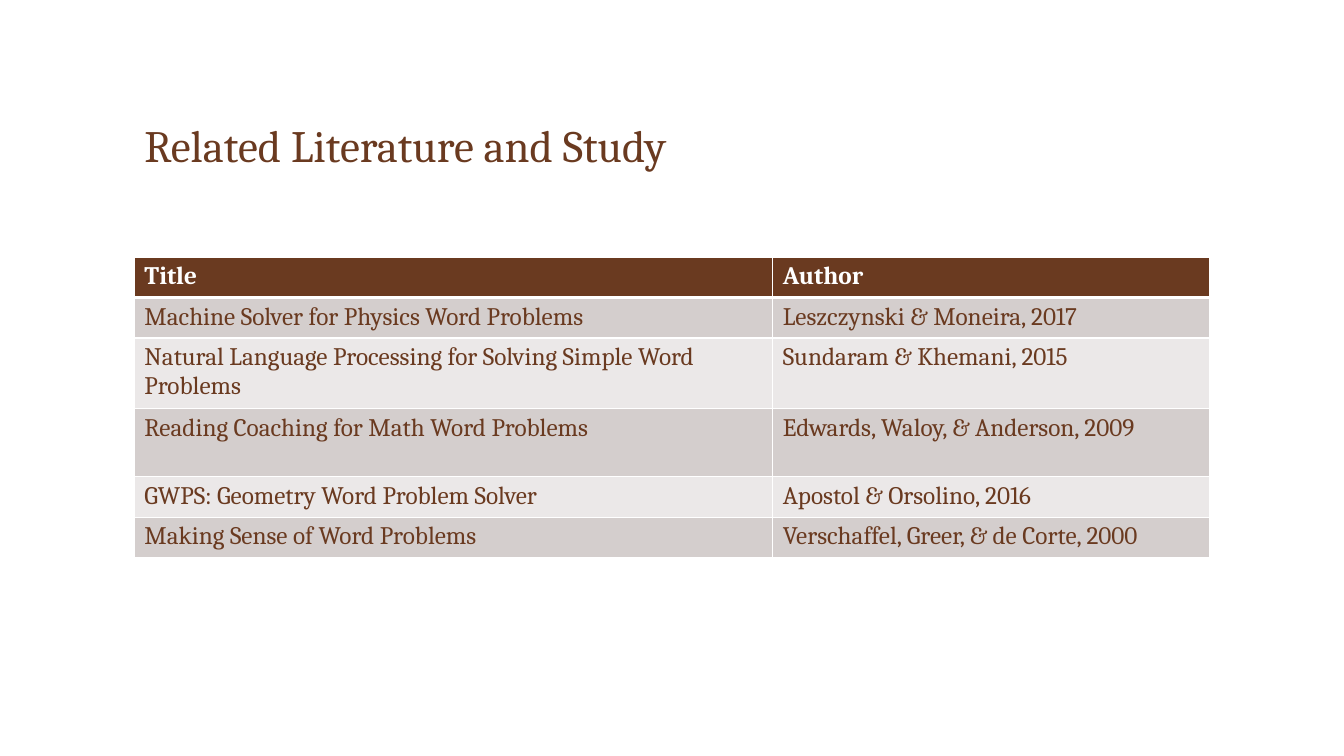
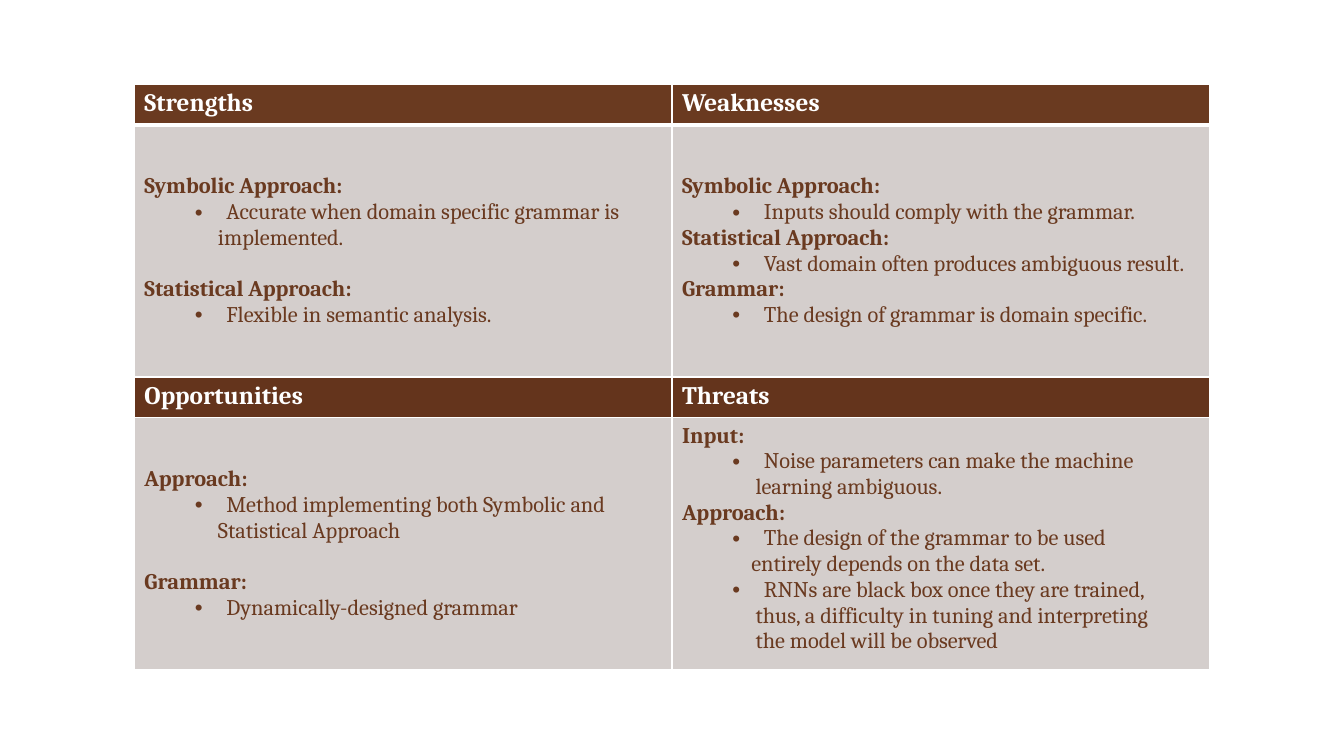
from pptx import Presentation
from pptx.dml.color import RGBColor
from pptx.enum.text import MSO_ANCHOR
from pptx.oxml.ns import qn
from pptx.util import Pt
from lxml.etree import SubElement

PX = 9525
FONT = "Cambria"
COLORS = {
    "brown": "6A3A20",
    "dark": "64341C",
    "band": "D4CECD",
    "panel": "D4CECC",
    "light": "EBE8E8",
    "white": "FFFFFF",
}
LEFT, WIDTH = 128, 1024
INDENTS = {"head": 0, "gap": 0, "bullet": 78, "more": 70, "tight": 66}
HANG = -30


def rgb(name):
    return RGBColor.from_string(COLORS[name])


class Deck:
    def __init__(self, width, height):
        self.prs = Presentation()
        self.prs.slide_width = width * PX
        self.prs.slide_height = height * PX
        self.slide = None

    def new_slide(self):
        self.slide = self.prs.slides.add_slide(self.prs.slide_layouts[6])

    def style(self, p, size, color, bold=False):
        for r in p.runs:
            r.font.name = FONT
            r.font.size = Pt(size)
            r.font.bold = bold
            r.font.color.rgb = rgb(color)

    def title(self, text):
        box = self.slide.shapes.add_textbox(LEFT * PX, 45 * PX, WIDTH * PX, 123 * PX)
        tf = box.text_frame
        tf.word_wrap = True
        tf.vertical_anchor = MSO_ANCHOR.BOTTOM
        tf.text = text
        self.style(tf.paragraphs[0], 32, "brown")

    def table(self, top, cols, rows):
        frame = self.slide.shapes.add_table(
            len(rows), len(cols), LEFT * PX, top * PX, sum(cols) * PX, sum(rows) * PX)
        table = frame.table
        table.first_row = table.horz_banding = False
        for column, width in zip(table.columns, cols):
            column.width = width * PX
        for row, height in zip(table.rows, rows):
            row.height = height * PX
        return table

    def paint(self, cell, row, fill):
        widths = {"L": 1, "R": 1, "T": 3 if row == 1 else 1, "B": 3 if row == 0 else 1}
        tcPr = cell._tc.get_or_add_tcPr()
        for side, width in widths.items():
            ln = SubElement(tcPr, qn(f"a:ln{side}"), w=str(Pt(width)))
            SubElement(SubElement(ln, qn("a:solidFill")), qn("a:srgbClr"), val=COLORS["white"])
        cell.fill.solid()
        cell.fill.fore_color.rgb = rgb(fill)

    def label(self, table, row, col, text, fill, color="brown", bold=False):
        cell = table.cell(row, col)
        cell.text_frame.text = text
        self.style(cell.text_frame.paragraphs[0], 18, color, bold)
        self.paint(cell, row, fill)

    def points(self, table, row, col, lines, anchor):
        cell = table.cell(row, col)
        cell.vertical_anchor = anchor
        tf = cell.text_frame
        tf.text = "\n".join(text for _, text in lines)
        for p, (kind, _) in zip(tf.paragraphs, lines):
            self.style(p, 16, "brown", kind in ("head", "gap"))
            pPr = p._p.get_or_add_pPr()
            pPr.set("marL", str(INDENTS[kind] * PX))
            pPr.set("indent", str(HANG * PX if kind == "bullet" else 0))
            if kind == "gap":
                p.space_before = Pt(18.4)
            if kind == "bullet":
                SubElement(pPr, qn("a:buFont"), typeface="Arial")
                SubElement(pPr, qn("a:buChar"), char="•")
            else:
                SubElement(pPr, qn("a:buNone"))
        self.paint(cell, row, "panel")


STUDIES = [
    ("Machine Solver for Physics Word Problems", "Leszczynski & Moneira, 2017"),
    ("Natural Language Processing for Solving Simple Word Problems", "Sundaram & Khemani, 2015"),
    ("Reading Coaching for Math Word Problems", "Edwards, Waloy, & Anderson, 2009"),
    ("GWPS: Geometry Word Problem Solver", "Apostol & Orsolino, 2016"),
    ("Making Sense of Word Problems", "Verschaffel, Greer, & de Corte, 2000"),
]

SWOT = [
    ("Strengths", MSO_ANCHOR.MIDDLE, [
        ("head", "Symbolic Approach:"),
        ("bullet", "Accurate when domain specific grammar is"),
        ("more", "implemented."),
        ("gap", "Statistical Approach:"),
        ("bullet", "Flexible in semantic analysis."),
    ]),
    ("Weaknesses", MSO_ANCHOR.MIDDLE, [
        ("head", "Symbolic Approach:"),
        ("bullet", "Inputs should comply with the grammar."),
        ("head", "Statistical Approach:"),
        ("bullet", "Vast domain often produces ambiguous result."),
        ("head", "Grammar:"),
        ("bullet", "The design of grammar is domain specific."),
    ]),
    ("Opportunities", MSO_ANCHOR.MIDDLE, [
        ("head", "Approach:"),
        ("bullet", "Method implementing both Symbolic and"),
        ("more", "Statistical Approach"),
        ("gap", "Grammar:"),
        ("bullet", "Dynamically-designed grammar"),
    ]),
    ("Threats", MSO_ANCHOR.TOP, [
        ("head", "Input:"),
        ("bullet", "Noise parameters can make the machine"),
        ("more", "learning ambiguous."),
        ("head", "Approach:"),
        ("bullet", "The design of the grammar to be used"),
        ("tight", "entirely depends on the data set."),
        ("bullet", "RNNs are black box once they are trained,"),
        ("more", "thus, a difficulty in tuning and interpreting"),
        ("more", "the model will be observed"),
    ]),
]


def literature(deck):
    deck.new_slide()
    deck.title("Related Literature and Study")
    table = deck.table(245, [608, 416], [37, 38, 65, 65, 38, 38])
    for col, text in enumerate(("Title", "Author")):
        deck.label(table, 0, col, text, "brown", "white", True)
    for row, study in enumerate(STUDIES, 1):
        for col, text in enumerate(study):
            deck.label(table, row, col, text, "band" if row % 2 else "light")


def swot(deck):
    deck.new_slide()
    table = deck.table(80, [WIDTH // 2] * 2, [39, 240] * 2)
    for i, (name, anchor, lines) in enumerate(SWOT):
        half, col = divmod(i, 2)
        row = half * 2
        deck.label(table, row, col, name, "dark" if half else "brown", "white", True)
        deck.points(table, row + 1, col, lines, anchor)


def main():
    deck = Deck(1280, 720)
    literature(deck)
    swot(deck)
    deck.prs.save("out.pptx")


if __name__ == "__main__":
    main()
